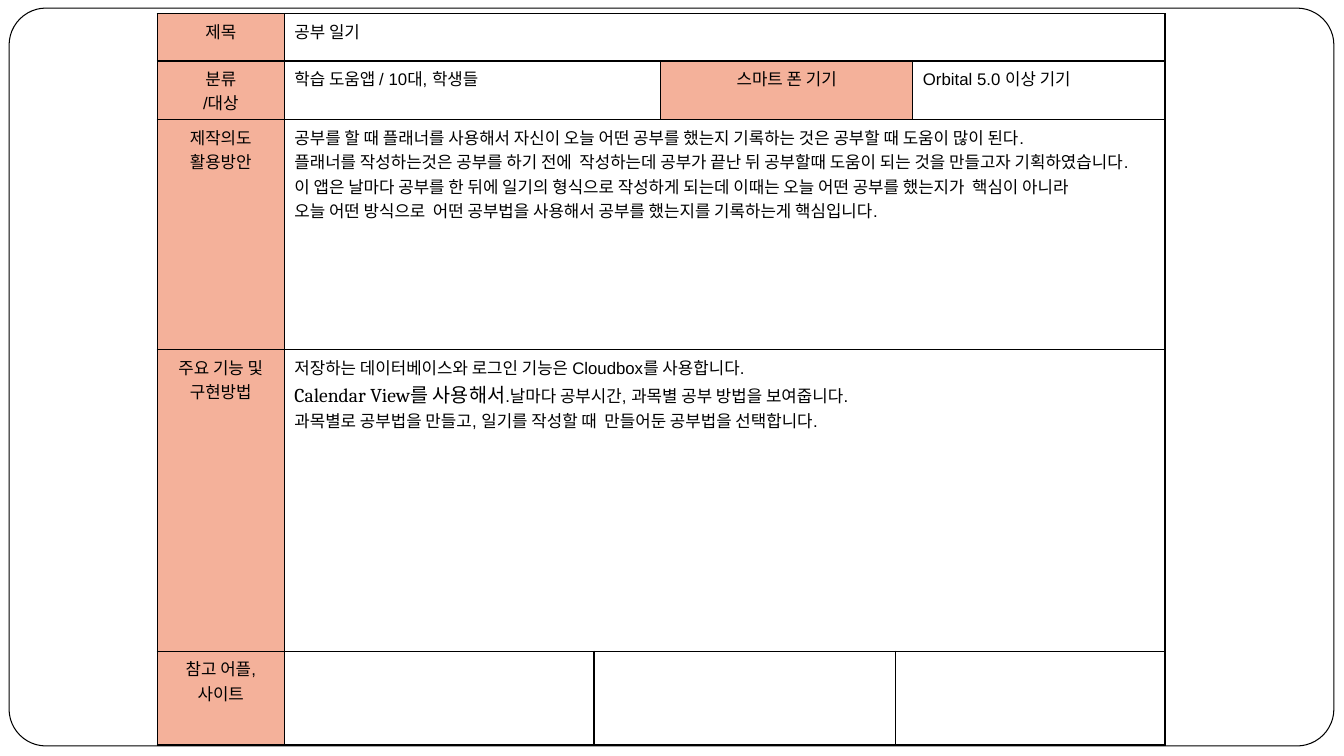
import dataclasses

import pptx
import pptx.dml.color
import pptx.enum.shapes
import pptx.enum.text
import pptx.oxml
import pptx.oxml.ns
import pptx.util


@dataclasses.dataclass(frozen=True)
class Theme:
    ink: str = "000000"
    paper: str = "FFFFFF"
    label: str = "F4B19A"
    body: tuple = ("Arial", 12)
    accent: tuple = ("Cambria", 14)
    frame_line: float = 0.75
    grid_line: float = 1


def rgb(value):
    return pptx.dml.color.RGBColor.from_string(value)


class Sheet:
    def __init__(self, prs, theme):
        self.prs, self.theme = prs, theme
        self.slide = prs.slides.add_slide(prs.slide_layouts[6])

    def box(self, x, y, w, h):
        """Turn percentages of the slide into lengths."""
        width, height = self.prs.slide_width, self.prs.slide_height
        return [int(share * side / 100)
                for share, side in zip((x, y, w, h), (width, height) * 2)]

    def frame(self, box, radius):
        sp = self.slide.shapes.add_shape(
            pptx.enum.shapes.MSO_SHAPE.ROUNDED_RECTANGLE, *self.box(*box))
        sp.adjustments[0] = radius
        sp.shadow.inherit = False
        sp.fill.solid()
        sp.fill.fore_color.rgb = rgb(self.theme.paper)
        sp.line.color.rgb = rgb(self.theme.ink)
        sp.line.width = pptx.util.Pt(self.theme.frame_line)

    def table(self, box, columns, rows):
        """Add a bordered table whose columns and rows share the box by weight."""
        x, y, w, h = self.box(*box)
        table = self.slide.shapes.add_table(
            len(rows), len(columns), x, y, w, h).table
        table.first_row = table.horz_banding = False
        for column, weight in zip(table.columns, columns):
            column.width = int(w * weight / sum(columns))
        for row, weight in zip(table.rows, rows):
            row.height = int(h * weight / sum(rows))
        for cell in table.iter_cells():
            self.border(cell)
            cell.fill.background()
        return table

    def border(self, cell):
        tc_pr = cell._tc.get_or_add_tcPr()
        width = pptx.util.Pt(self.theme.grid_line)
        for side in "LRTB":
            tc_pr.append(pptx.oxml.parse_xml(
                f'<a:ln{side} {pptx.oxml.ns.nsdecls("a")} w="{width}">'
                f'<a:solidFill><a:srgbClr val="{self.theme.ink}"/></a:solidFill>'
                f'</a:ln{side}>'))

    def style(self, font, face):
        font.name, size = face
        font.size = pptx.util.Pt(size)
        font.color.rgb = rgb(self.theme.ink)

    def cell(self, table, row, first, last, lines, label=False):
        """Fill columns first to last; a line is a text or a list of (text, face)."""
        cell = table.cell(row, first)
        if last > first:
            cell.merge(table.cell(row, last))
        if label:
            cell.fill.solid()
            cell.fill.fore_color.rgb = rgb(self.theme.label)
        tf = cell.text_frame
        for i, line in enumerate(lines):
            p = tf.add_paragraph() if i else tf.paragraphs[0]
            if label:
                p.alignment = pptx.enum.text.PP_ALIGN.CENTER
            if isinstance(line, str):
                p.add_run().text = line
                self.style(p.font, self.theme.body)
            else:
                for text, face in line:
                    r = p.add_run()
                    r.text = text
                    self.style(r.font, face)


def main():
    prs = pptx.Presentation()
    prs.slide_width = pptx.util.Inches(13.33)
    prs.slide_height = pptx.util.Inches(7.5)
    theme = Theme()
    sheet = Sheet(prs, theme)
    sheet.frame((0.68, 1.07, 98.57, 97.6), 0.05)
    plan = sheet.table((11.7, 1.8, 75, 96.3),
                       columns=(1.26, 3.07, 0.66, 2.33, 0.17, 2.5),
                       rows=(0.47, 0.55, 2.28, 2.99, 0.93))

    labels = [["제목"], ["분류", "/대상"], ["제작의도", "활용방안"],
              ["주요 기능 및", "구현방법"], ["참고 어플,", "사이트"]]
    for row, lines in enumerate(labels):
        sheet.cell(plan, row, 0, 0, lines, label=True)
    sheet.cell(plan, 1, 3, 4, ["스마트 폰 기기"], label=True)

    contents = [
        (0, 1, 5, ["공부 일기"]),
        (1, 1, 2, ["학습 도움앱 / 10대, 학생들"]),
        (1, 5, 5, ["Orbital 5.0 이상 기기"]),
        (2, 1, 5, [
            "공부를 할 때 플래너를 사용해서 자신이 오늘 어떤 공부를 했는지 기록하는 것은 공부할 때 도움이 많이 된다.",
            "플래너를 작성하는것은 공부를 하기 전에  작성하는데 공부가 끝난 뒤 공부할때 도움이 되는 것을 만들고자 기획하였습니다.",
            "이 앱은 날마다 공부를 한 뒤에 일기의 형식으로 작성하게 되는데 이때는 오늘 어떤 공부를 했는지가  핵심이 아니라",
            "오늘 어떤 방식으로  어떤 공부법을 사용해서 공부를 했는지를 기록하는게 핵심입니다."]),
        (3, 1, 5, [
            "저장하는 데이터베이스와 로그인 기능은 Cloudbox를 사용합니다.",
            [("Calendar View를 사용해서", theme.accent),
             (".날마다 공부시간, 과목별 공부 방법을 보여줍니다.", theme.body)],
            "과목별로 공부법을 만들고, 일기를 작성할 때  만들어둔 공부법을 선택합니다."]),
        (4, 2, 3, []),
        (4, 4, 5, []),
    ]
    for row, first, last, lines in contents:
        sheet.cell(plan, row, first, last, lines)
    prs.save("out.pptx")


if __name__ == "__main__":
    main()
